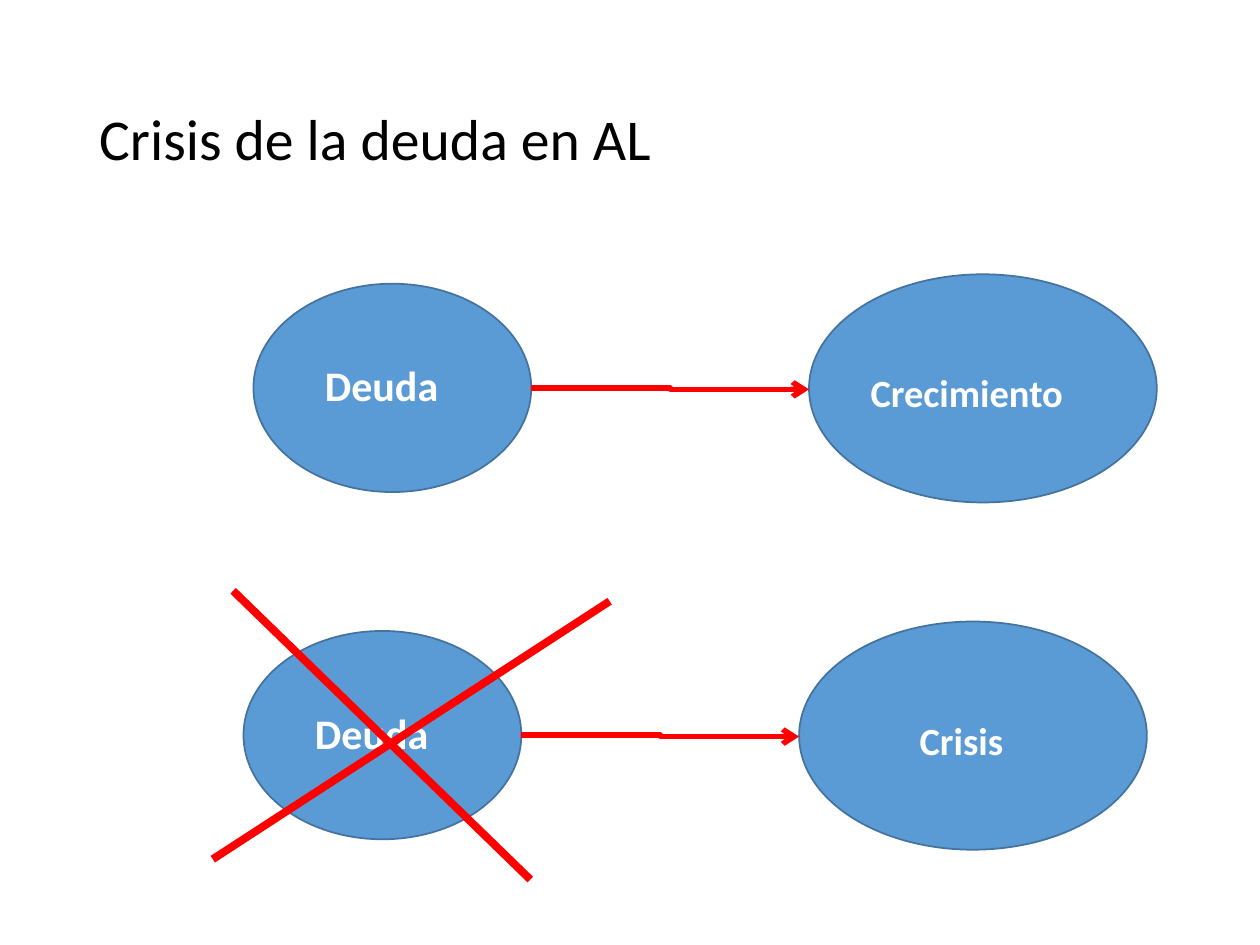
from pptx import Presentation
from pptx.dml.color import RGBColor
from pptx.enum.shapes import MSO_CONNECTOR, MSO_SHAPE
from pptx.enum.text import MSO_ANCHOR
from pptx.oxml.ns import qn
from pptx.util import Cm, Pt
from lxml import etree

OVAL = MSO_SHAPE.OVAL
STRAIGHT, ELBOW = MSO_CONNECTOR.STRAIGHT, MSO_CONNECTOR.ELBOW
TOP, MIDDLE = MSO_ANCHOR.TOP, MSO_ANCHOR.MIDDLE

BLACK = RGBColor(0x00, 0x00, 0x00)
WHITE = RGBColor(0xFF, 0xFF, 0xFF)
BLUE = RGBColor(0x5B, 0x9B, 0xD5)
DARK_BLUE = RGBColor(0x43, 0x73, 0x9E)
RED = RGBColor(0xFF, 0x00, 0x00)


class Deck:
    font = "Calibri"

    def __init__(self, prs):
        self.s = prs.slides.add_slide(prs.slide_layouts[6])

    def text(self, shapes, text, box, size, color, bold=False, anchor=TOP):
        tf = shapes.add_textbox(*map(Cm, box)).text_frame
        tf.word_wrap = True
        tf.vertical_anchor = anchor
        p = tf.paragraphs[0]
        p.text = text
        p.font.name, p.font.size, p.font.bold = self.font, Pt(size), bold
        p.font.color.rgb = color
        return p

    def title(self, text, box):
        p = self.text(self.s.shapes, text, box, 33, BLACK, anchor=MIDDLE)
        p.line_spacing = 0.9

    def bubble(self, text, oval_box, text_box, size):
        """An ellipse grouped with its label."""
        shapes = self.s.shapes.add_group_shape().shapes
        sp = shapes.add_shape(OVAL, *map(Cm, oval_box))
        sp.shadow.inherit = False
        sp.fill.solid()
        sp.fill.fore_color.rgb = BLUE
        sp.line.color.rgb = DARK_BLUE
        sp.line.width = Pt(1)
        self.text(shapes, text, text_box, size, WHITE, bold=True)

    def line(self, points, width, kind=STRAIGHT, arrow=False):
        c = self.s.shapes.add_connector(kind, *map(Cm, points))
        c.line.color.rgb = RED
        c.line.width = Pt(width)
        if arrow:
            etree.SubElement(c.line._get_or_add_ln(), qn("a:tailEnd"), type="arrow")
        etree.SubElement(c._element.spPr, qn("a:effectLst"))


def main():
    prs = Presentation()
    prs.slide_width, prs.slide_height = Cm(25.4), Cm(19.05)
    deck = Deck(prs)

    deck.title("Crisis de la deuda en AL", (1.75, 1.02, 21.9, 3.68))

    # Debt and its outcome, one row each: x, y, outcome, label offset and width
    rows = [
        (5.11, 5.72, "Crecimiento", 0.99, 5.41),
        (4.91, 12.72, "Crisis", 2.18, 3.61),
    ]
    for x, y, outcome, dx, width in rows:
        right = x + 11.2
        deck.bubble("Deuda", (x, y, 5.6, 4.2), (x + 1.19, y + 1.41, 3.99, 1.27), 24)
        deck.bubble(outcome, (right, y - 0.19, 7.01, 4.6),
                    (right + dx, y + 1.6, width, 1.19), 22)
        deck.line((x + 5.6, y + 2.1, right, y + 2.13), 3, ELBOW, arrow=True)

    # Cross over the second debt
    deck.line((4.29, 17.32, 12.29, 12.12), 4.5)
    deck.line((4.7, 11.91, 10.69, 17.73), 4.5)

    prs.save("out.pptx")


if __name__ == "__main__":
    main()
